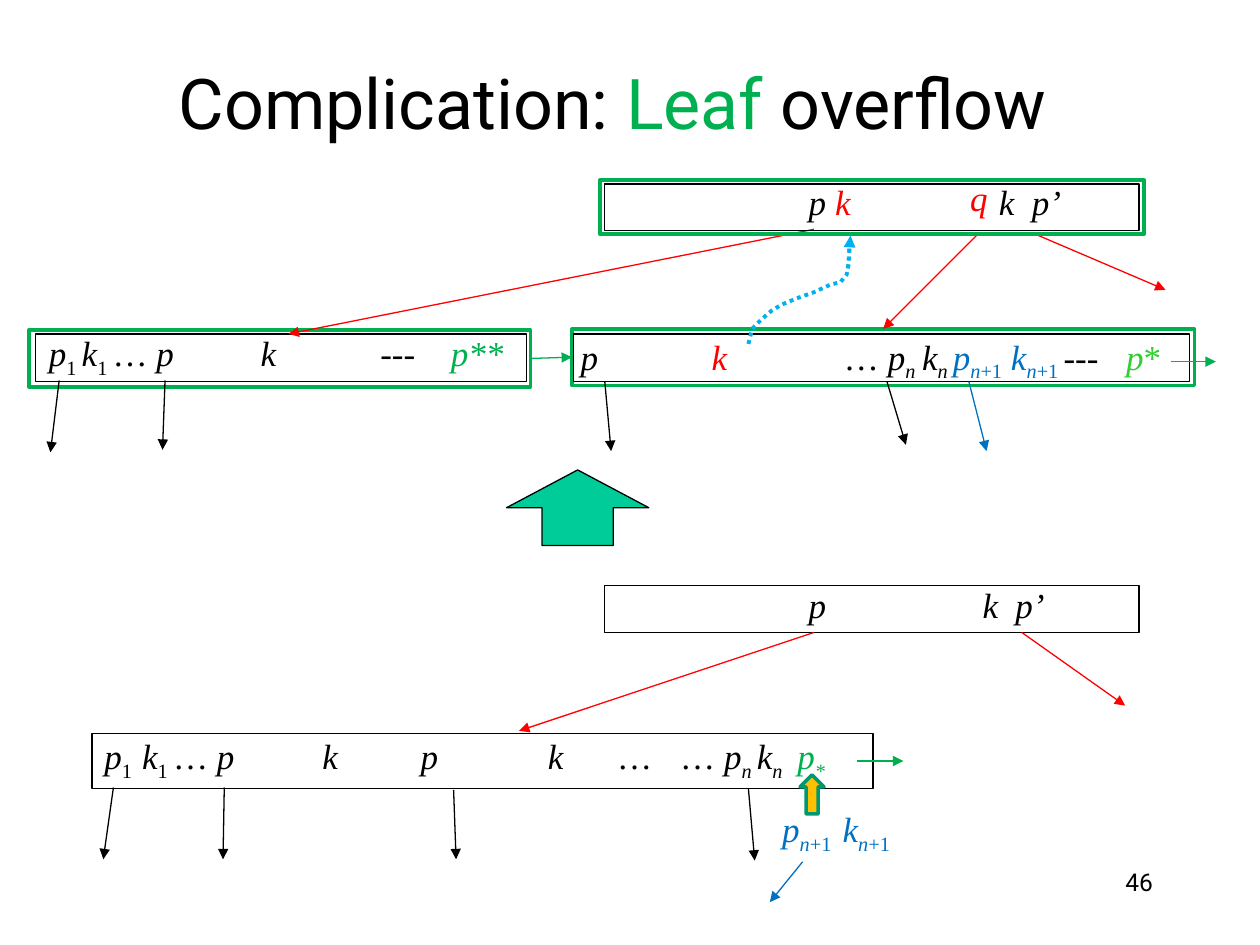
from lxml.etree import SubElement
from pptx import Presentation
from pptx.dml.color import RGBColor
from pptx.enum.dml import MSO_LINE
from pptx.enum.shapes import MSO_CONNECTOR, MSO_SHAPE
from pptx.enum.text import MSO_ANCHOR, MSO_AUTO_SIZE, PP_ALIGN
from pptx.oxml.ns import qn
from pptx.util import Inches, Pt

COLUMNS, ROWS = 100, 75
BLACK, WHITE, RED, GREEN = "000000", "FFFFFF", "FF0000", "00B050"
BLUE, SKY, LIME = "0070C0", "00B0F0", "33CC33"
TOP, LEFT, BOTTOM, RIGHT = range(4)


def rgb(code):
    return RGBColor.from_string(code)


def write(frame, spans, font="Times New Roman", size=20, tabs=(), align=PP_ALIGN.LEFT):
    """Fill a frame with (text, style, colour) spans; style i is italic, s is subscript."""
    frame.word_wrap = True
    frame.auto_size = MSO_AUTO_SIZE.NONE
    frame.vertical_anchor = MSO_ANCHOR.TOP
    paragraph = frame.paragraphs[0]
    paragraph.alignment = align
    if tabs:
        stops = SubElement(paragraph._p.get_or_add_pPr(), qn("a:tabLst"))
        for stop in tabs:
            SubElement(stops, qn("a:tab"), pos=str(int(stop)), algn="l")
    for text, style, color in spans:
        run = paragraph.add_run()
        run.text = text
        run.font.name, run.font.size = font, Pt(size)
        run.font.italic = "i" in style
        run.font.color.rgb = rgb(color)
        if "s" in style:
            run.font._element.set("baseline", "-25000")


class Diagram:
    """Draws on one slide; every length is in columns and rows of the grid."""

    def __init__(self, deck):
        self.slide = deck.slides.add_slide(deck.slide_layouts[5])
        self.column = deck.slide_width / COLUMNS
        self.row = deck.slide_height / ROWS

    def place(self, x, y):
        return int(x * self.column), int(y * self.row)

    def title(self, x, y, width, height, spans):
        heading = self.slide.shapes.title
        heading.left, heading.top = self.place(x, y)
        heading.width, heading.height = self.place(width, height)
        write(heading.text_frame, spans, font="Roboto", size=40)

    def text(self, x, y, width, spans, height=4.4, tabs=(), **style):
        label = self.slide.shapes.add_textbox(*self.place(x, y), *self.place(width, height))
        write(label.text_frame, spans, tabs=[stop * self.column for stop in tabs], **style)

    def stroke(self, item, color, weight, dash=None):
        item.line.color.rgb = rgb(color)
        item.line.width = Pt(weight)
        if dash:
            item.line.dash_style = dash

    def shape(self, x, y, width, height, fill=None, line=BLACK, weight=0.75,
              kind=MSO_SHAPE.RECTANGLE):
        item = self.slide.shapes.add_shape(kind, *self.place(x, y), *self.place(width, height))
        item.shadow.inherit = False
        if fill:
            item.fill.solid()
            item.fill.fore_color.rgb = rgb(fill)
        else:
            item.fill.background()
        self.stroke(item, line, weight)
        return item

    def arrow(self, start, end, color=BLACK, weight=0.75, dash=None, begin=None, finish=None):
        """Draw an arrow; begin and finish are (shape, side) pairs to join."""
        item = self.slide.shapes.add_connector(
            MSO_CONNECTOR.STRAIGHT, *self.place(*start), *self.place(*end))
        self.stroke(item, color, weight, dash)
        SubElement(item.line._get_or_add_ln(), qn("a:tailEnd"), type="triangle")
        SubElement(item._element.spPr, qn("a:effectLst"))
        if begin:
            item.begin_connect(*begin)
        if finish:
            item.end_connect(*finish)

    def curve(self, points, color, weight, dash):
        builder = self.slide.shapes.build_freeform(*self.place(*points[0]))
        builder.add_line_segments([self.place(*point) for point in points[1:]], close=False)
        item = builder.convert_to_shape()
        item.shadow.inherit = False
        item.fill.background()
        self.stroke(item, color, weight, dash)


def indexed(name, index, color=BLACK, gap=""):
    """Spans for a variable with a subscript: n, n+1 or a number."""
    spans = [(name, "i", color)]
    if index.startswith("n"):
        spans.append(("n", "is", color))
        index = index[1:]
    return spans + [(index + gap, "s", color)]


def draw_after_split(diagram):
    left_frame = diagram.shape(2.3, 26.2, 39.8, 4.5, line=GREEN, weight=2)
    right_frame = diagram.shape(45.4, 26.1, 49.4, 4.5, line=GREEN, weight=2)
    diagram.shape(2.8, 26.5, 39, 3.8, fill=WHITE)
    diagram.shape(45.5, 26.5, 48.9, 3.8, fill=WHITE)
    diagram.text(2.9, 25.8, 39.6, [
        *indexed("p", "1", gap=" "), *indexed("k", "1", gap=" "), ("… ", "", BLACK),
        ("p\tk\t---\t", "i", BLACK), ("p**", "i", GREEN)], tabs=(16.8, 26.3, 31.9))
    diagram.text(45.1, 26.1, 49.3, [
        ("p\t", "i", BLACK), ("k\t", "i", RED), ("… ", "", BLACK),
        *indexed("p", "n", gap="\t"), *indexed("k", "n", gap=" "),
        *indexed("p", "n+1", BLUE), *indexed(" k", "n+1", BLUE, " "),
        ("---\t", "", BLACK), ("p", "i", LIME), ("*", "", LIME)],
        tabs=(10.4, 20.9, 27.1, 43.3))
    diagram.arrow((42.1, 28.4), (45.4, 28.4), GREEN,
                  begin=(left_frame, RIGHT), finish=(right_frame, LEFT))
    diagram.arrow((92.9, 28.7), (96.5, 28.7), GREEN)

    diagram.arrow((64.6, 18.2), (22.9, 26.5), RED)
    diagram.arrow((77.6, 18.6), (70.1, 26.1), RED, finish=(right_frame, TOP))
    diagram.arrow((82.2, 18.6), (92.5, 23), RED)
    diagram.shape(48, 14.6, 42.4, 3.7)
    diagram.shape(47.6, 14.3, 43.2, 4.3, line=GREEN, weight=2)
    diagram.text(63.2, 13.8, 22.5, [
        ("p ", "i", BLACK), ("k\t", "i", RED), ("k\tp’", "i", BLACK)], tabs=(15.1, 17.7))
    diagram.text(76, 13.5, 3.5, [("q", "i", RED)])

    diagram.curve([(59.4, 27.3), (59.7, 26.1), (60.5, 25.3), (61.2, 24.7), (62, 24.2),
                   (63.2, 23.7), (64.6, 23.2), (65.9, 22.6), (66.7, 22.4), (67.2, 21.8),
                   (67.4, 20.7), (67.4, 19)], SKY, 2.25, MSO_LINE.ROUND_DOT)
    diagram.arrow((67.3, 21.3), (67.5, 18.7), SKY, 2.25, MSO_LINE.ROUND_DOT)


def draw_before_split(diagram):
    diagram.shape(48, 46.5, 42.4, 3.7)
    diagram.text(63.2, 45.8, 22.5, [("p\tk\tp’", "i", BLACK)], tabs=(13.8, 16.4))
    diagram.arrow((64.6, 50.2), (41.2, 58), RED)
    diagram.arrow((81.1, 50.2), (89.3, 56), RED)

    diagram.shape(7.3, 58.2, 62, 4.4)
    diagram.text(7.3, 57.8, 63.2, [
        *indexed("p", "1", gap="\t"), *indexed("k", "1", gap=" "), ("… ", "", BLACK),
        ("p\tk\tp\tk\t", "i", BLACK), ("…\t… ", "", BLACK),
        *indexed("p", "n", gap=" "), *indexed("k", "n", gap="\t"),
        ("p", "i", GREEN), ("*", "is", GREEN)],
        tabs=(3, 17.3, 25.1, 35.2, 40.7, 45.7, 55))
    diagram.arrow((68, 60.4), (71.7, 60.4), GREEN)
    diagram.text(61.1, 63.6, 11.6, [
        *indexed("p", "n+1", BLUE, "\t"), *indexed("k", "n+1", BLUE)], tabs=(4.8,))
    diagram.arrow((63.7, 68.4), (61.1, 71.6), BLUE)
    diagram.shape(63.5, 61.5, 1.9, 3.1, fill="FFC000", line="009771", weight=2,
                  kind=MSO_SHAPE.UP_ARROW)


def draw_child_pointers(diagram):
    for start, end, color in (
            ((4.7, 30.2), (4, 35.9), BLACK), ((13.1, 30.2), (12.9, 35.7), BLACK),
            ((48, 30.3), (48.5, 35.8), BLACK), ((70.4, 30.3), (71.9, 35.3), BLACK),
            ((76.9, 30.3), (78.3, 35.8), BLUE), ((9, 62.5), (8.2, 68.2), BLACK),
            ((17.8, 62.5), (17.7, 68.2), BLACK), ((36, 62.7), (36.2, 68.2), BLACK),
            ((59.4, 62.6), (59.9, 68.3), BLACK)):
        diagram.arrow(start, end, color)


def main():
    deck = Presentation()
    deck.slide_width, deck.slide_height = Inches(10), Inches(7.5)
    diagram = Diagram(deck)
    diagram.title(13.2, 4.2, 81.6, 6.5, [
        ("Complication: ", "", BLACK), ("Leaf", "", GREEN), (" overflow", "", BLACK)])
    draw_after_split(diagram)
    diagram.shape(40.2, 37.3, 11.3, 6, fill="00CC99", kind=MSO_SHAPE.UP_ARROW)
    draw_before_split(diagram)
    draw_child_pointers(diagram)
    diagram.text(71.7, 68.3, 20.8, [("46", "", BLACK)], height=5, font="Roboto", size=14,
                 align=PP_ALIGN.RIGHT)
    deck.save("out.pptx")


if __name__ == "__main__":
    main()
